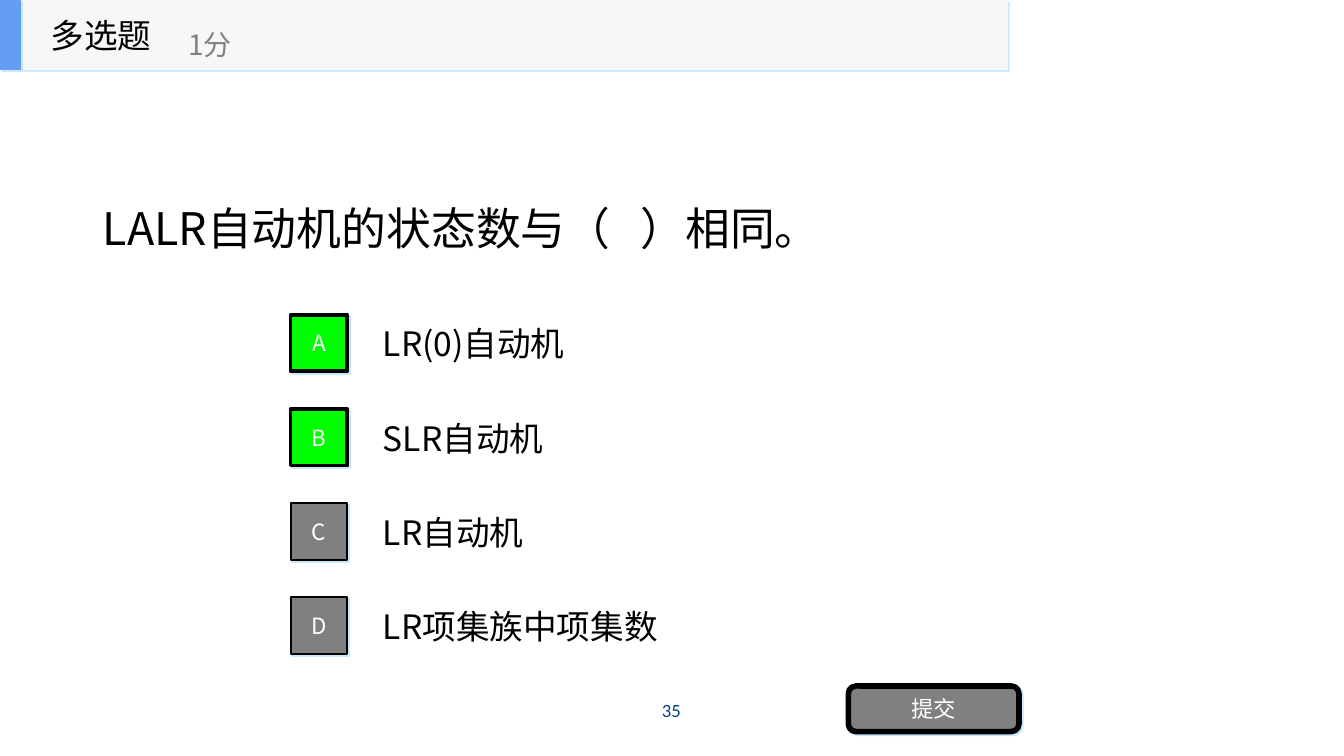
from lxml import etree
from pptx import Presentation
from pptx.dml.color import RGBColor
from pptx.enum import shapes, text
from pptx.oxml import ns
from pptx.util import Pt

BLACK = RGBColor(0, 0, 0)
WHITE = RGBColor(255, 255, 255)
GRAY = RGBColor(0x80, 0x80, 0x80)
GREEN = RGBColor(0, 255, 0)
PALE = RGBColor(0xF6, 0xF7, 0xF8)
BLUE = RGBColor(0x63, 0x9E, 0xF4)
NAVY = RGBColor(0x07, 0x3E, 0x87)
SHADE = RGBColor(0xC6, 0xE7, 0xFC)

HAN = "Noto Sans CJK SC"
RECT = shapes.MSO_SHAPE.RECTANGLE
ROUND = shapes.MSO_SHAPE.ROUNDED_RECTANGLE
LEFT, MID = text.PP_ALIGN.LEFT, text.PP_ALIGN.CENTER

CHOICES = [  # letter, wording, chosen
    ("A", "LR(0)自动机", True),
    ("B", "SLR自动机", True),
    ("C", "LR自动机", False),
    ("D", "LR项集族中项集数", False),
]


def write(shape, words, size, color, align=LEFT, font=HAN, wrap=True):
    """Put one styled line of text, centred vertically, in a shape."""
    frame = shape.text_frame
    frame.text = words
    frame.word_wrap = wrap
    frame.vertical_anchor = text.MSO_ANCHOR.MIDDLE
    line = frame.paragraphs[0]
    line.alignment = align
    run = line.runs[0]
    run.font.size = Pt(size)
    run.font.name = font
    run.font.color.rgb = color
    east = etree.SubElement(run._r.get_or_add_rPr(), ns.qn("a:ea"))
    east.set("typeface", font)


def label(home, box, words, size, color, **style):
    item = home.add_textbox(*map(Pt, box))
    write(item, words, size, color, **style)


def cast(shape):
    """Give a shape a hard pale shadow, down and to the right."""
    shape.shadow.inherit = False
    effects = shape._element.spPr.find(ns.qn("a:effectLst"))
    outer = etree.SubElement(effects, ns.qn("a:outerShdw"), blurRad="0",
                             dist=str(Pt(1.4)), dir="2700000",
                             algn="ctr", rotWithShape="0")
    etree.SubElement(outer, ns.qn("a:srgbClr"), val=str(SHADE))


def block(home, kind, box, fill, edge=0):
    item = home.add_shape(kind, *map(Pt, box))
    item.fill.solid()
    item.fill.fore_color.rgb = fill
    if edge:
        item.line.color.rgb = BLACK
        item.line.width = Pt(edge)
    else:
        item.line.fill.background()
    cast(item)
    return item


def button(home, kind, box, fill, edge, words):
    item = block(home, kind, box, fill, edge)
    frame = item.text_frame
    frame.margin_left = frame.margin_right = Pt(5)
    frame.margin_top = frame.margin_bottom = Pt(3)
    write(item, words, 12, WHITE, align=MID)


def choice(home, row, letter, words, right):
    top = 165 + 50.5 * row
    label(home, (198, top, 378, 38), words, 18, BLACK)
    fill, edge = (GREEN, 2) if right else (GRAY, 1)
    button(home, RECT, (155.7, top + 3.6, 30.4, 30.4), fill, edge, letter)


def header(home):
    group = home.add_group_shape().shapes
    block(group, RECT, (0, 0, 540, 37.5), PALE)
    block(group, RECT, (0, 0, 11.25, 37.5), BLUE)
    label(group, (20, 0, 112.5, 37.5), "多选题", 18, BLACK, wrap=False)
    label(group, (93.75, 8.5, 135, 30), "1分", 15, GRAY, wrap=False)


def main():
    deck = Presentation()
    deck.slide_width, deck.slide_height = Pt(720), Pt(405)
    home = deck.slides.add_slide(deck.slide_layouts[6]).shapes

    # Question and choices
    label(home, (48, 79.2, 652.3, 85), "LALR自动机的状态数与（   ）相同。", 24, BLACK)
    for row, entry in enumerate(CHOICES):
        choice(home, row, *entry)

    # Submit button and page number
    button(home, ROUND, (454.5, 367.5, 91.4, 24.4), GRAY, 3, "提交")
    label(home, (314, 369.5, 91.4, 21.6), "35", 10, NAVY, align=MID, font="Calibri")

    # Title bar
    header(home)

    deck.save("out.pptx")


if __name__ == "__main__":
    main()
